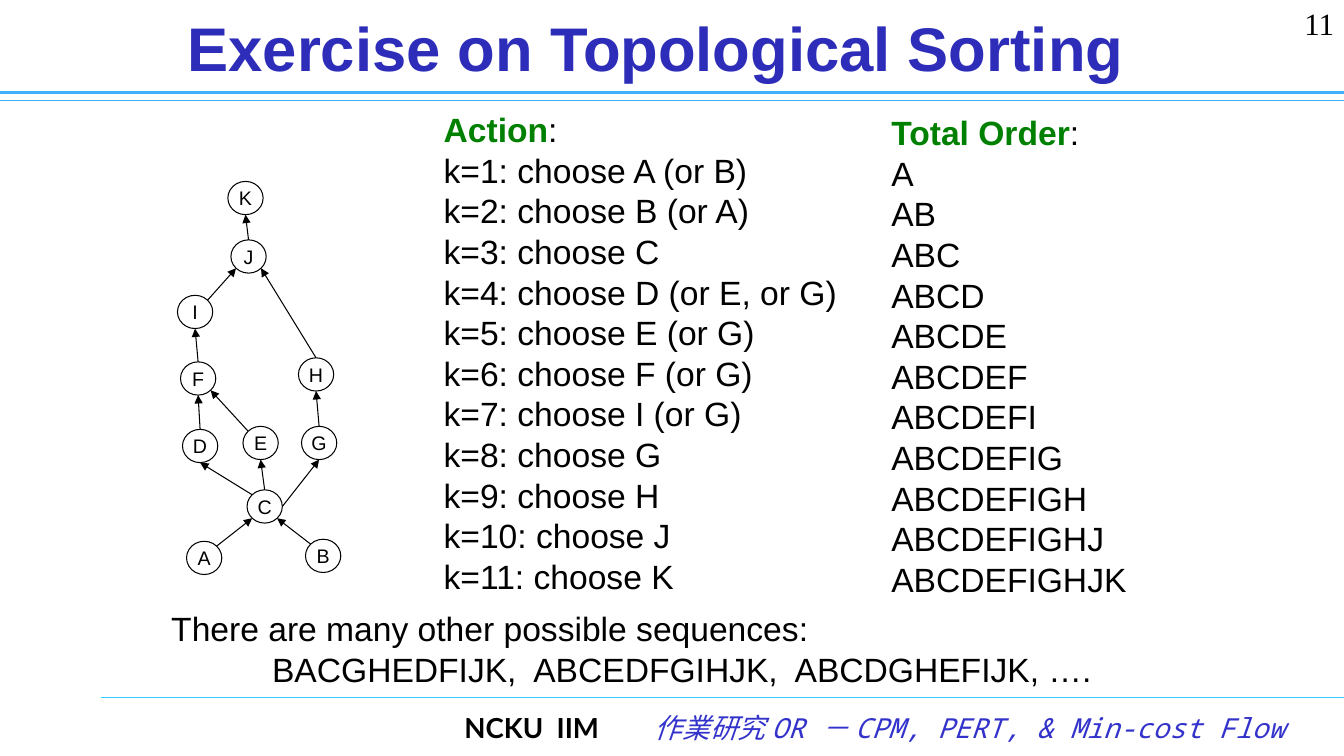
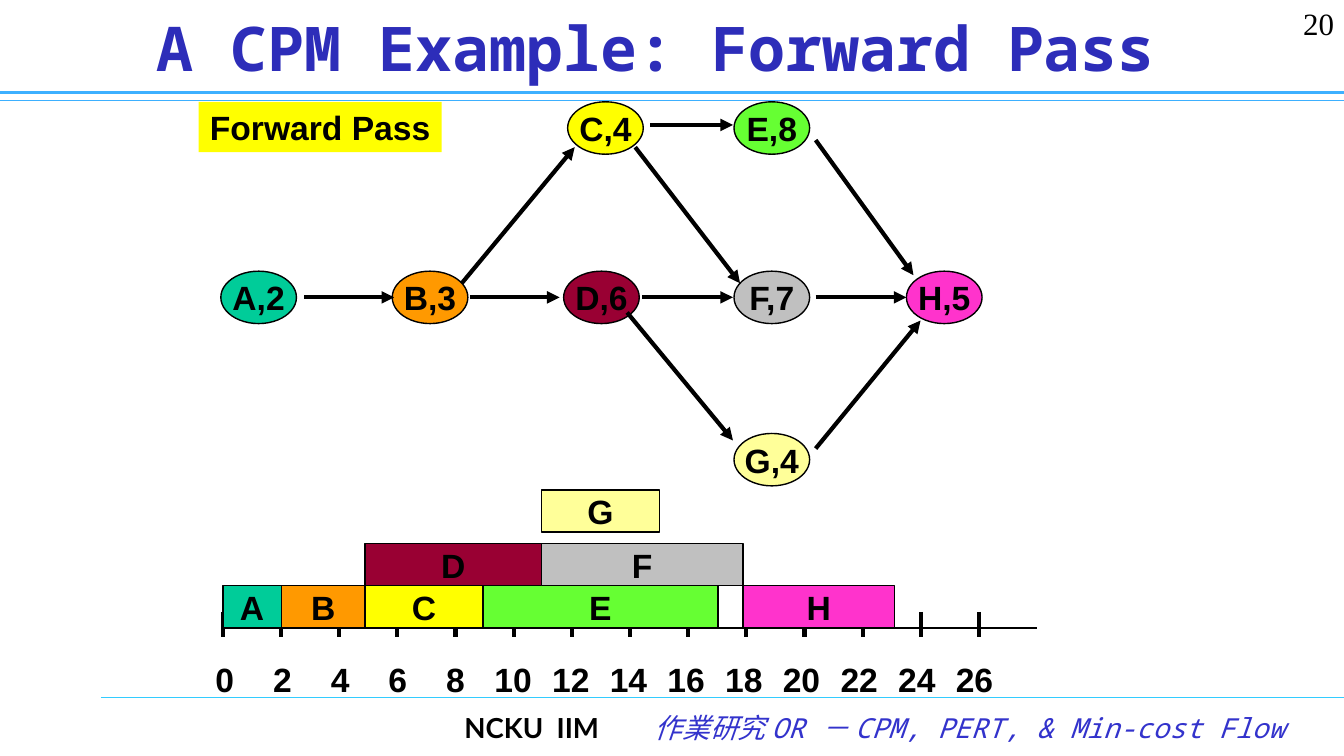
import math

import pptx
import pptx.dml.color
import pptx.enum.shapes
import pptx.enum.text
import pptx.oxml.ns
import pptx.util
from lxml import etree

EMU_PER_PX = 9144
SLIDE_WIDTH, SLIDE_HEIGHT = 1333, 750
COLORS = {
    "black": "000000", "title": "2D2DB9", "topic": "3333CC", "heading": "008000",
    "header line": "3DB0FF", "footer line": "33CCFF", "note": "FFFF00",
}
ACTIVITY_COLORS = {
    "A": "00CC99", "B": "FF9900", "C": "FFFF00", "D": "990033",
    "E": "66FF33", "F": "C0C0C0", "G": "FFFF99", "H": "FF33CC",
}
SHAPES = pptx.enum.shapes.MSO_SHAPE
ALIGN = pptx.enum.text.PP_ALIGN
ANCHOR = pptx.enum.text.MSO_ANCHOR
LAYOUT_TWO_LISTS, LAYOUT_TITLE_ONLY = 3, 5
BODY_SIZE, BODY_LEADING = 24, 29

# Slide 1: circles by left and top, arrows by the compass points they join
CIRCLE_WIDTH, CIRCLE_HEIGHT = 35, 33
CIRCLES = {
    "K": (226, 180), "J": (229, 238), "I": (176, 293), "H": (296, 355),
    "F": (179, 359), "D": (181, 426), "E": (241, 423), "G": (299, 423),
    "C": (245, 486), "A": (185, 537), "B": (303, 535),
}
PRECEDENCES = [
    ("A", "NE", "C", "SW"), ("B", "NW", "C", "SE"), ("C", "NW", "D", "S"),
    ("C", "N", "E", "S"), ("C", "E", "G", "S"), ("D", "N", "F", "S"),
    ("E", "NW", "F", "SE"), ("G", "N", "H", "S"), ("F", "N", "I", "S"),
    ("I", "NE", "J", "SW"), ("H", "N", "J", "SE"), ("J", "N", "K", "S"),
]
COMPASS = ["E", "SE", "S", "SW", "W", "NW", "N", "NE"]
CHOICES = ["A (or B)", "B (or A)", "C", "D (or E, or G)", "E (or G)", "F (or G)",
           "I (or G)", "G", "H", "J", "K"]

# Slide 2: activities by duration, left and top; arrows by their two ends
ACTIVITIES = [
    ("A", 2, 219, 269), ("B", 3, 389, 269), ("D", 6, 559, 269), ("C", 4, 563, 101),
    ("G", 4, 728, 430), ("F", 7, 728, 269), ("E", 8, 728, 101), ("H", 5, 899, 269),
]
ARROWS = [
    (302, 295, 391, 295), (466, 295, 555, 295), (637, 295, 727, 295),
    (809, 295, 899, 295), (458, 281, 570, 146), (645, 124, 727, 124),
    (630, 146, 734, 281), (622, 310, 727, 437), (809, 139, 906, 273),
    (809, 445, 913, 318),
]
BARS = [
    ("A", 221, 58, 581), ("B", 279, 83, 581), ("C", 362, 117, 581),
    ("D", 362, 175, 539), ("E", 479, 233, 581), ("F", 537, 200, 539),
    ("G", 537, 117, 486), ("H", 737, 150, 581),
]
BAR_HEIGHT = 42
AXIS_LEFT, AXIS_RIGHT, AXIS_TOP = 221, 1029, 623
LAST_TIME, LAST_TICK = 26, 971


def px(*lengths):
    return [pptx.util.Emu(round(length * EMU_PER_PX)) for length in lengths]


def rgb(color):
    return pptx.dml.color.RGBColor.from_string(color)


def set_font(font, size, color=COLORS["black"], name="Arial", bold=False, italic=False):
    font.name, font.size = name, pptx.util.Pt(size)
    font.bold, font.italic = bold, italic
    font.color.rgb = rgb(color)


def format_paragraph(paragraph, size=BODY_SIZE, align=ALIGN.LEFT, **font):
    paragraph.alignment = align
    paragraph.space_before = pptx.util.Pt(0)
    if size == BODY_SIZE:
        paragraph.line_spacing = pptx.util.Pt(BODY_LEADING)
    set_font(paragraph.font, size, **font)


def add_text(slide, text, box, **style):
    """Add a wrapping text box with one formatted paragraph per line of text."""
    frame = slide.shapes.add_textbox(*px(*box)).text_frame
    frame.word_wrap = True
    frame.text = text
    for paragraph in frame.paragraphs:
        format_paragraph(paragraph, **style)
    return frame


def add_line(slide, start, end, width, color=COLORS["black"], arrow=False):
    connector = slide.shapes.add_connector(
        pptx.enum.shapes.MSO_CONNECTOR.STRAIGHT, *px(*start, *end))
    connector.line.width = pptx.util.Pt(width)
    connector.line.color.rgb = rgb(color)
    properties = connector.element.spPr
    if arrow:
        line = properties.find(pptx.oxml.ns.qn("a:ln"))
        etree.SubElement(line, pptx.oxml.ns.qn("a:tailEnd"), type="triangle")
    etree.SubElement(properties, pptx.oxml.ns.qn("a:effectLst"))


def add_label(slide, kind, text, box, fill=None, line_width=1, size=BODY_SIZE, bold=True):
    """Add a preset shape with centred text; no fill or a zero line width hides that part."""
    shape = slide.shapes.add_shape(kind, *px(*box))
    shape.shadow.inherit = False
    if fill:
        shape.fill.solid()
        shape.fill.fore_color.rgb = rgb(fill)
    else:
        shape.fill.background()
    if line_width:
        shape.line.width = pptx.util.Pt(line_width)
        shape.line.color.rgb = rgb(COLORS["black"])
    else:
        shape.line.fill.background()
    frame = shape.text_frame
    frame.word_wrap = False
    frame.vertical_anchor = ANCHOR.MIDDLE
    frame.margin_left = frame.margin_right = frame.margin_top = frame.margin_bottom = 0
    frame.text = text
    format_paragraph(frame.paragraphs[0], size, ALIGN.CENTER, bold=bold)


def place(shape, box):
    shape.left, shape.top, shape.width, shape.height = px(*box)


def add_slide(presentation, layout, title, number, title_font="Arial"):
    """Add a slide with its title, page number, header lines and footer."""
    slide = presentation.slides.add_slide(presentation.slide_layouts[layout])
    add_line(slide, (0, 100), (SLIDE_WIDTH, 100), 0.75, COLORS["header line"])
    add_line(slide, (0, 92), (SLIDE_WIDTH, 92), 2.5, COLORS["header line"])
    add_line(slide, (100, 692), (SLIDE_WIDTH, 692), 0.75, COLORS["footer line"])

    heading = slide.shapes.title
    place(heading, (35, 3, 1232, 87))
    heading.text_frame.text = title
    heading.text_frame.vertical_anchor = ANCHOR.MIDDLE
    heading.text_frame.auto_size = pptx.enum.text.MSO_AUTO_SIZE.NONE
    format_paragraph(heading.text_frame.paragraphs[0], 44, ALIGN.CENTER,
                     color=COLORS["title"], name=title_font, bold=True)

    add_text(slide, str(number), (1257, 0, 76, 50), size=22.1, align=ALIGN.RIGHT,
             name="Times New Roman")
    add_text(slide, "NCKU  IIM", (404, 700, 200, 50), size=19.7, align=ALIGN.RIGHT,
             name="Lato", bold=True)
    add_text(slide, "作業研究 OR － CPM, PERT, & Min-cost Flow", (584, 700, 700, 50),
             size=19.7, align=ALIGN.RIGHT, color=COLORS["topic"],
             name="Noto Sans Mono", italic=True)
    return slide


def fill_list(placeholder, box, heading, items):
    """Write a coloured heading and unbulleted items into a body placeholder."""
    place(placeholder, box)
    frame = placeholder.text_frame
    frame.auto_size = pptx.enum.text.MSO_AUTO_SIZE.NONE
    frame.text = "\n".join(["", *items])
    for paragraph in frame.paragraphs:
        format_paragraph(paragraph)
        properties = paragraph._p.get_or_add_pPr()
        properties.set("marL", "0")
        properties.set("indent", "0")
        bullet = etree.Element(pptx.oxml.ns.qn("a:buNone"))
        properties.find(pptx.oxml.ns.qn("a:defRPr")).addprevious(bullet)
    title_run = frame.paragraphs[0].add_run()
    title_run.text = heading
    set_font(title_run.font, BODY_SIZE, COLORS["heading"], bold=True)
    colon = frame.paragraphs[0].add_run()
    colon.text = ":"
    for run in [colon, *(run for paragraph in frame.paragraphs[1:] for run in paragraph.runs)]:
        set_font(run.font, BODY_SIZE)


def circle_point(name, direction):
    """Return the point of a circle's outline that lies in a compass direction."""
    left, top = CIRCLES[name]
    angle = COMPASS.index(direction) * math.pi / 4
    return (left + CIRCLE_WIDTH / 2 * (1 + math.cos(angle)),
            top + CIRCLE_HEIGHT / 2 * (1 + math.sin(angle)))


def build_sorting_slide(presentation):
    slide = add_slide(presentation, LAYOUT_TWO_LISTS, "Exercise on Topological Sorting", 11)
    for name, (left, top) in CIRCLES.items():
        add_label(slide, SHAPES.FLOWCHART_CONNECTOR, name,
                  (left, top, CIRCLE_WIDTH, CIRCLE_HEIGHT),
                  line_width=0.75, size=14, bold=False)
    for tail, tail_side, head, head_side in PRECEDENCES:
        add_line(slide, circle_point(tail, tail_side), circle_point(head, head_side),
                 0.75, arrow=True)

    order = "".join(choice[0] for choice in CHOICES)
    actions = [f"k={k}: choose {choice}" for k, choice in enumerate(CHOICES, 1)]
    prefixes = [order[:k] for k in range(1, len(order) + 1)]
    fill_list(slide.placeholders[1], (430, 103, 430, 495), "Action", actions)
    fill_list(slide.placeholders[2], (874, 106, 280, 495), "Total Order", prefixes)

    remark = add_text(slide, "There are many other possible sequences:\n"
                      "BACGHEDFIJK,  ABCEDFGIHJK,  ABCDGHEFIJK, ….", (160, 598, 981, 91))
    remark.paragraphs[1]._p.get_or_add_pPr().set("marL", str(px(100)[0]))


def add_time_axis(slide):
    add_line(slide, (AXIS_LEFT, AXIS_TOP), (AXIS_RIGHT, AXIS_TOP), 1)
    for time in range(0, LAST_TIME + 1, 2):
        tick = AXIS_LEFT + (LAST_TICK - AXIS_LEFT) * time / LAST_TIME
        add_line(slide, (tick, 607), (tick, 632), 3)
        label_center = 223 + 28.6 * time
        add_text(slide, str(time), (label_center - 33, 648, 66, 51),
                 align=ALIGN.CENTER, bold=True)


def build_forward_pass_slide(presentation):
    slide = add_slide(presentation, LAYOUT_TITLE_ONLY, "A CPM Example: Forward Pass", 20,
                      "Noto Sans Mono")
    for name, duration, left, top in ACTIVITIES:
        add_label(slide, SHAPES.OVAL, f"{name},{duration}", (left, top, 75, 52),
                  ACTIVITY_COLORS[name])
    for x1, y1, x2, y2 in ARROWS:
        add_line(slide, (x1, y1), (x2, y2), 3, arrow=True)
    add_label(slide, SHAPES.RECTANGLE, "Forward Pass", (197, 101, 241, 50),
              COLORS["note"], line_width=0)
    add_time_axis(slide)
    for name, left, width, top in BARS:
        add_label(slide, SHAPES.RECTANGLE, name, (left, top, width, BAR_HEIGHT),
                  ACTIVITY_COLORS[name])


def main():
    presentation = pptx.Presentation()
    presentation.slide_width, presentation.slide_height = px(SLIDE_WIDTH, SLIDE_HEIGHT)
    build_sorting_slide(presentation)
    build_forward_pass_slide(presentation)
    presentation.save("out.pptx")


if __name__ == "__main__":
    main()
